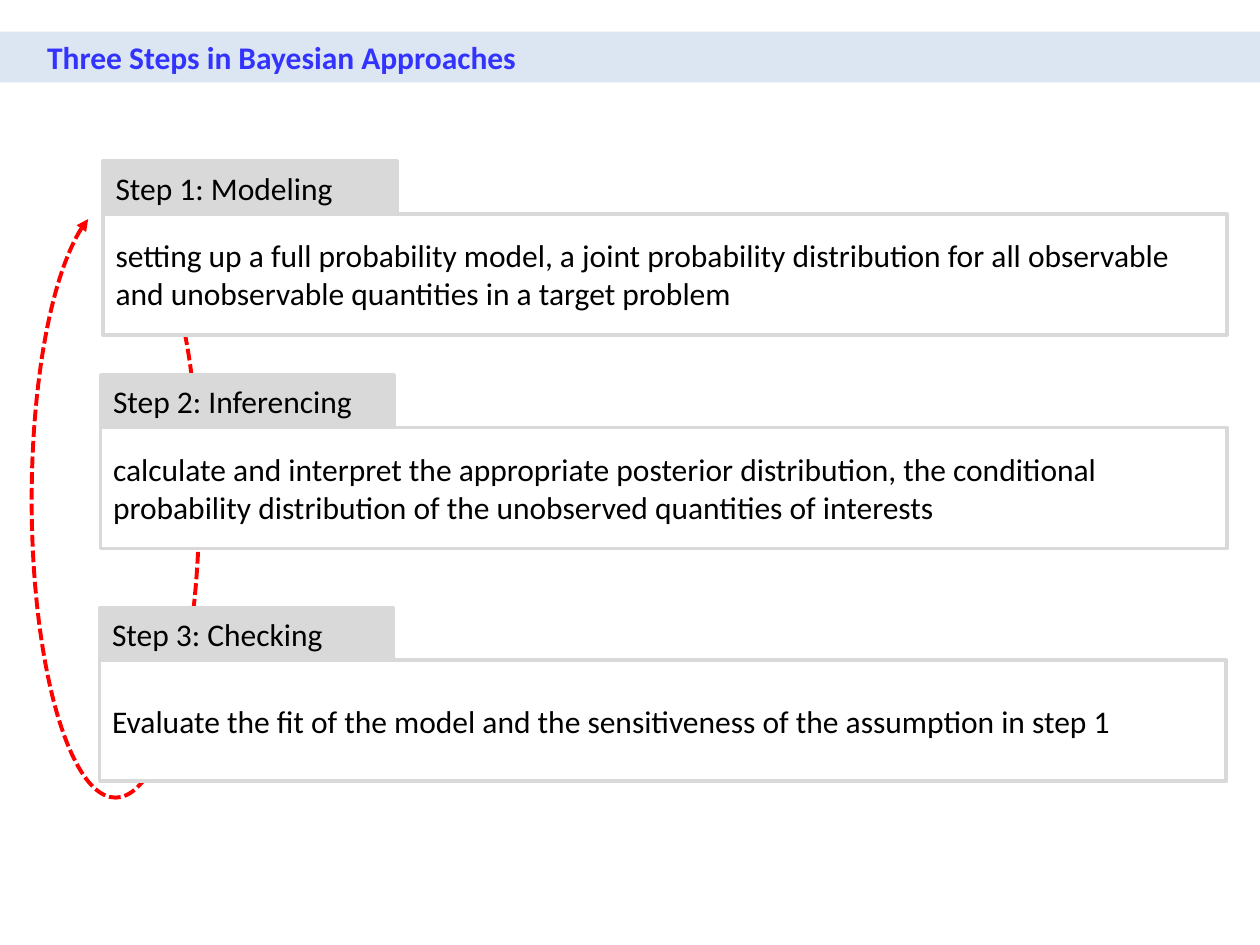
from dataclasses import dataclass

from lxml import etree
from pptx import Presentation
from pptx.dml.color import RGBColor
from pptx.enum.dml import MSO_LINE
from pptx.enum.shapes import MSO_SHAPE
from pptx.enum.text import MSO_ANCHOR, MSO_AUTO_SIZE, PP_ALIGN
from pptx.oxml.ns import qn
from pptx.util import Cm, Pt

ARC, RECTANGLE = MSO_SHAPE.ARC, MSO_SHAPE.RECTANGLE
SHORT_DASH = MSO_LINE.SQUARE_DOT
TOP, MIDDLE = MSO_ANCHOR.TOP, MSO_ANCHOR.MIDDLE
LEFT = PP_ALIGN.LEFT
NO_AUTOFIT = MSO_AUTO_SIZE.NONE


@dataclass(frozen=True)
class Theme:
    font: str = "Calibri"
    text_size: Pt = Pt(18)
    border_width: Pt = Pt(2)
    arrow_width: Pt = Pt(2.25)
    title: RGBColor = RGBColor(0x33, 0x33, 0xFF)
    band: RGBColor = RGBColor(0xDC, 0xE6, 0xF2)
    text: RGBColor = RGBColor(0, 0, 0)
    grey: RGBColor = RGBColor(0xD9, 0xD9, 0xD9)
    white: RGBColor = RGBColor(0xFF, 0xFF, 0xFF)
    arrow: RGBColor = RGBColor(0xFF, 0, 0)


theme = Theme()


def write_text(shape, text, color, bold, frame_format):
    text_frame = shape.text_frame
    for name, value in frame_format.items():
        setattr(text_frame, name, value)
    paragraph = text_frame.paragraphs[0]
    paragraph.alignment = LEFT
    run = paragraph.add_run()
    run.text = text
    font_format = {"name": theme.font, "size": theme.text_size, "bold": bold}
    for name, value in font_format.items():
        setattr(run.font, name, value)
    run.font.color.rgb = color


def add_step_box(slide, left, top, width, height, fill, text):
    box = slide.shapes.add_shape(RECTANGLE, Cm(left), Cm(top), Cm(width), Cm(height))
    box.shadow.inherit = False
    box.fill.solid()
    box.fill.fore_color.rgb = fill
    box.line.color.rgb = theme.grey
    box.line.width = theme.border_width
    write_text(box, text, theme.text, False, {"word_wrap": True, "vertical_anchor": MIDDLE})


presentation = Presentation()
presentation.slide_width, presentation.slide_height = Cm(25.4), Cm(19.05)
slide = presentation.slides.add_slide(presentation.slide_layouts[5])

# Title band
title = slide.shapes.title
title_place = {"left": Cm(0), "top": Cm(0.64), "width": Cm(25.4), "height": Cm(1.02)}
for name, value in title_place.items():
    setattr(title, name, value)
title.fill.solid()
title.fill.fore_color.rgb = theme.band
write_text(title, "Three Steps in Bayesian Approaches", theme.title, True, {
    "word_wrap": True,
    "auto_size": NO_AUTOFIT,
    "vertical_anchor": TOP,
    "margin_left": Cm(0.95),
})

# Feedback arrow from the last step to the first, behind the boxes
feedback = slide.shapes.add_shape(ARC, Cm(0.64), Cm(4.09), Cm(3.38), Cm(11.99))
feedback.adjustments[0] = 175.55
feedback.adjustments[1] = 158.67
feedback.shadow.inherit = False
feedback.fill.background()
feedback.line.color.rgb = theme.arrow
feedback.line.width = theme.arrow_width
feedback.line.dash_style = SHORT_DASH
line_properties = feedback.element.spPr.find(qn("a:ln"))
etree.SubElement(line_properties, qn("a:tailEnd"), type="triangle")

# Steps: a grey tab on top of a framed description
TAB_WIDTH, TAB_HEIGHT, BODY_HEIGHT = 5.92, 1.06, 2.44
steps = [
    (2.08, 3.25, 22.66, "Step 1: Modeling",
     "setting up a full probability model, a joint probability distribution "
     "for all observable and unobservable quantities in a target problem"),
    (2.03, 7.56, 22.71, "Step 2: Inferencing",
     "calculate and interpret the appropriate posterior distribution, the conditional "
     "probability distribution of the unobserved quantities of interests"),
    (2.01, 12.25, 22.71, "Step 3: Checking",
     "Evaluate the fit of the model and the sensitiveness of the assumption in step 1"),
]
for left, top, body_width, heading, description in steps:
    add_step_box(slide, left, top, TAB_WIDTH, TAB_HEIGHT, theme.grey, heading)
    add_step_box(slide, left, top + TAB_HEIGHT, body_width, BODY_HEIGHT, theme.white, description)

presentation.save("out.pptx")
